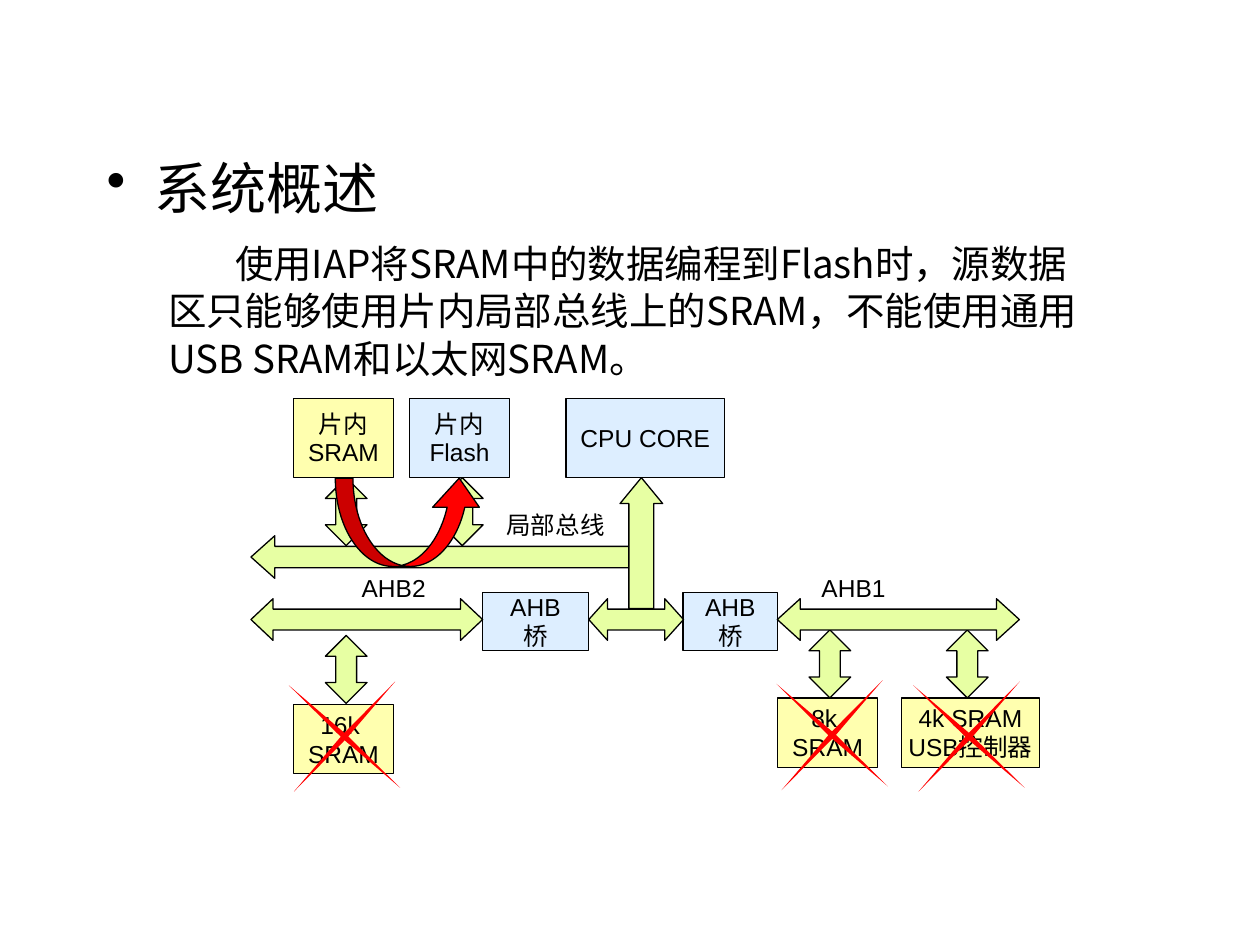
from dataclasses import dataclass

from lxml import etree
from pptx import Presentation
from pptx.dml.color import RGBColor
from pptx.enum import shapes, text
from pptx.oxml import ns
from pptx.util import Cm, Pt

SHAPE = shapes.MSO_SHAPE


@dataclass(frozen=True)
class Theme:
    ink: str = "000000"
    memory: str = "FFFFAF"
    logic: str = "DDEEFF"
    bus: str = "E7FFA3"
    alert: str = "FF0000"
    latin: str = "Arial"
    chinese: str = "Noto Sans CJK JP"
    heading: int = 32
    body: int = 22
    label: int = 14
    heading_line: float = 39
    body_line: float = 27
    label_line: float = 16.5


THEME = Theme()


def write_text(shape, content, size=THEME.label, line=THEME.label_line,
               font=THEME.latin, align=text.PP_ALIGN.LEFT, wrap=True,
               anchor=text.MSO_ANCHOR.TOP, bullet=None, left=0, indent=0, inset_top=0.13):
    """Fill a shape with one paragraph per line of content."""
    frame = shape.text_frame
    frame.word_wrap = wrap
    frame.vertical_anchor = anchor
    frame.margin_left = frame.margin_right = Cm(0.25)
    frame.margin_top, frame.margin_bottom = Cm(inset_top), Cm(0.13)
    for index, words in enumerate(content.split("\n")):
        paragraph = frame.paragraphs[0] if index == 0 else frame.add_paragraph()
        paragraph.alignment = align
        paragraph.line_spacing = Pt(line)
        properties = paragraph._p.get_or_add_pPr()
        properties.set("marL", str(Cm(left)))
        properties.set("indent", str(Cm(indent)))
        if bullet:
            etree.SubElement(properties, ns.qn("a:buChar")).set("char", bullet)
        run = paragraph.add_run()
        run.text = words
        run.font.size = Pt(size)
        run.font.name = font
        run.font.color.rgb = RGBColor.from_string(THEME.ink)
        east_asian = etree.SubElement(run._r.get_or_add_rPr(), ns.qn("a:ea"))
        east_asian.set("typeface", THEME.chinese)


def add_text(slide, box, content, **style):
    write_text(slide.shapes.add_textbox(*map(Cm, box)), content, **style)


def add_figure(slide, kind, box, fill, adjustments=(), outlined=True):
    shape = slide.shapes.add_shape(kind, *map(Cm, box))
    shape.shadow.inherit = False
    shape.fill.solid()
    shape.fill.fore_color.rgb = RGBColor.from_string(fill)
    if outlined:
        shape.line.color.rgb = RGBColor.from_string(THEME.ink)
        shape.line.width = Pt(0.75)
    else:
        shape.line.fill.background()
    for index, value in enumerate(adjustments):
        shape.adjustments[index] = value
    return shape


def draw_overview(slide, left, top, width):
    """Heading with the explanation under it."""
    add_text(slide, (left, top, width, 1.9), "系统概述", size=THEME.heading,
             line=THEME.heading_line, bullet="•", left=0.97, indent=-0.97)
    add_text(slide, (left + 1.24, top + 1.7, width - 2.51, 3.15),
             "使用IAP将SRAM中的数据编程到Flash时，源数据区只能够使用片内局部总线上的SRAM，"
             "不能使用通用USB SRAM和以太网SRAM。",
             size=THEME.body, line=THEME.body_line, font=THEME.chinese,
             indent=1.35, inset_top=0.17)


def draw_bus_diagram(slide, left, top):
    """Memory blocks, buses and bridges around the processor."""
    def at(x, y, width, height):
        return left + x, top + y, width, height

    # Blocks
    blocks = [
        ("片内\nSRAM", THEME.memory, (0.86, 0, 2.01, 1.6)),
        ("片内\nFlash", THEME.logic, (3.2, 0, 2.01, 1.6)),
        ("CPU CORE", THEME.logic, (6.35, 0, 3.2, 1.6)),
        ("AHB\n桥", THEME.logic, (4.67, 3.92, 2.13, 1.17)),
        ("AHB\n桥", THEME.logic, (8.71, 3.92, 1.91, 1.17)),
        ("16k \nSRAM", THEME.memory, (0.86, 6.17, 2.01, 1.4)),
        ("8k \nSRAM", THEME.memory, (10.62, 6.04, 2.01, 1.4)),
        ("4k SRAM\nUSB控制器", THEME.memory, (13.11, 6.04, 2.79, 1.4)),
    ]
    for words, fill, box in blocks:
        block = add_figure(slide, SHAPE.RECTANGLE, at(*box), fill)
        write_text(block, words, align=text.PP_ALIGN.CENTER, wrap=False,
                   anchor=text.MSO_ANCHOR.MIDDLE)

    # Local bus, then the links from buses to memories
    add_figure(slide, SHAPE.LEFT_ARROW, at(0, 2.77, 7.65, 0.86), THEME.bus, (0.5, 0.56))
    for x, y in [(1.5, 1.6), (3.84, 1.6), (1.5, 4.78), (11.25, 4.67), (14.02, 4.67)]:
        add_figure(slide, SHAPE.UP_DOWN_ARROW, at(x, y, 0.84, 1.37), THEME.bus, (0.325, 0.5))

    # Processor link and the AHB buses
    add_figure(slide, SHAPE.UP_ARROW, at(7.44, 1.6, 0.86, 2.64), THEME.bus, (0.586, 0.608))
    for x, width, head in [(6.81, 1.91, 0.45), (0, 4.67, 0.53), (10.61, 4.88, 0.55)]:
        add_figure(slide, SHAPE.LEFT_RIGHT_ARROW, at(x, 4.04, width, 0.84), THEME.bus, (0.5, head))

    # Bus names
    for words, x, y, width in [("局部总线", 4.9, 2.13, 2.77), ("AHB1", 11.25, 3.4, 2.13),
                               ("AHB2", 1.98, 3.4, 2.01)]:
        add_text(slide, at(x, y, width, 0.86), words)

    # Allowed copy route and the excluded memories
    add_figure(slide, SHAPE.CURVED_UP_ARROW, at(1.7, 1.61, 2.97, 1.78), THEME.alert,
               (0.2, 0.53, 0.33))
    for x, y in [(0.36, 5.31), (10.19, 5.28), (12.95, 5.31)]:
        cross = add_figure(slide, SHAPE.STAR_4_POINT, at(x, y, 3.05, 3.02), THEME.alert,
                           (0.025,), outlined=False)
        cross.rotation = 42.6


def main():
    presentation = Presentation()
    presentation.slide_width, presentation.slide_height = Cm(25.4), Cm(19.05)
    slide = presentation.slides.add_slide(presentation.slide_layouts[6])
    draw_overview(slide, left=1.9, top=2.95, width=21.59)
    draw_bus_diagram(slide, left=5.06, top=8.03)
    presentation.save("out.pptx")


if __name__ == "__main__":
    main()
